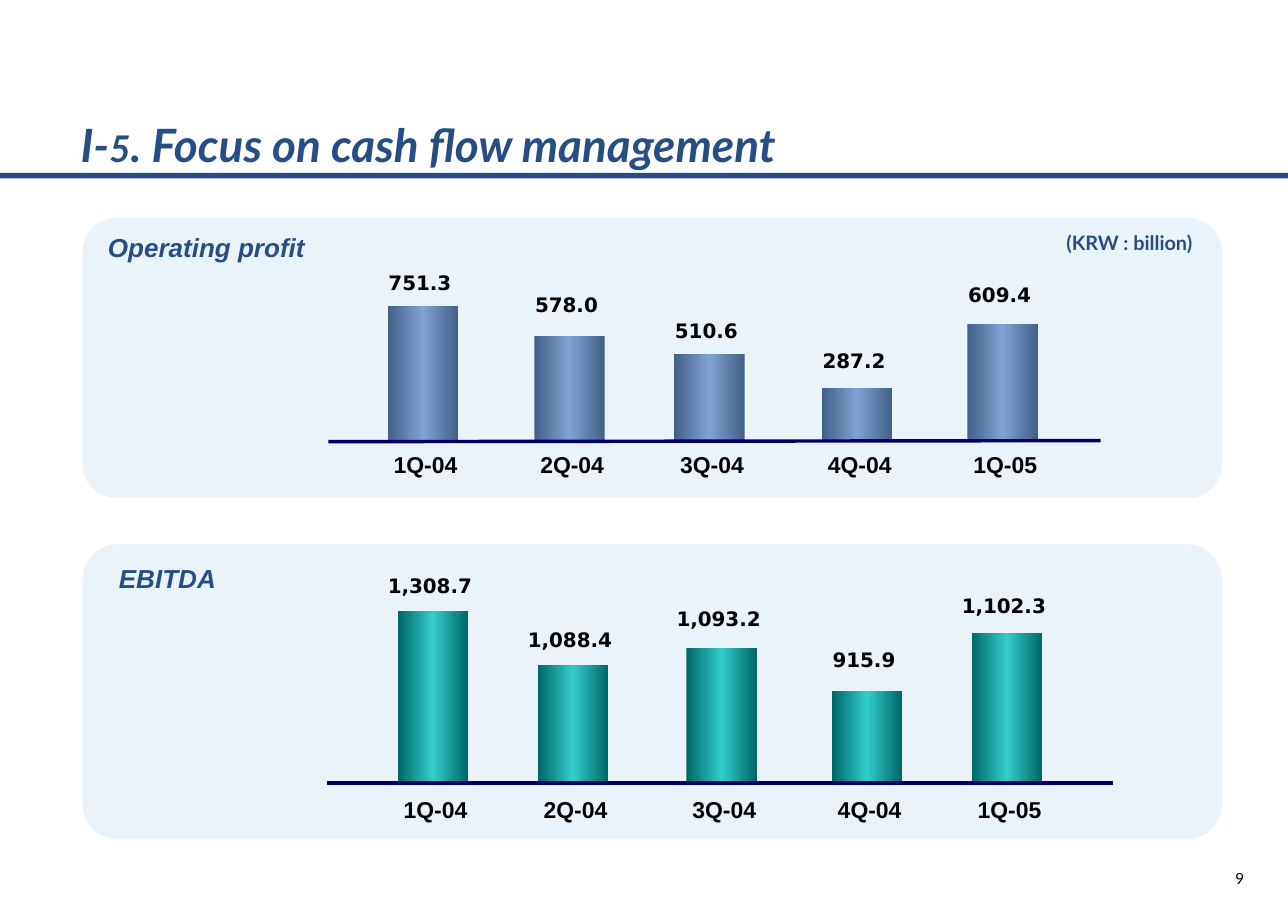
from pptx import Presentation
from pptx.dml.color import RGBColor
from pptx.enum.shapes import MSO_CONNECTOR as Connector, MSO_SHAPE as Shape
from pptx.enum.text import MSO_ANCHOR as Anchor, PP_ALIGN as Align
from pptx.oxml import parse_xml
from pptx.oxml.ns import nsdecls, qn
from pptx.oxml.xmlchemy import OxmlElement
from pptx.util import Pt

# Content
COLORS = {
    "navy": "264E84", "panel": "AECCEE", "axis": "000066", "black": "000000",
    "blue edge": "426087", "blue middle": "7EA3D4",
    "teal edge": "006666", "teal middle": "33CCCC",
}
TITLE = [("I-", 30), ("5", 24), (". Focus on cash flow management", 30)]
UNIT = "(KRW : billion)"
PAGE_NUMBER = "9"

# Each bar: quarter, value, bar left, bar top, value label top
SECTIONS = [
    {
        "heading": "Operating profit", "heading_at": (63.4, 149.8),
        "panel": (54, 142.6, 744.5, 182.9), "hue": "blue",
        "base": 287.4, "quarter_top": 294.5,
        "axis": (214.6, 288.7, 719.3, 288),
        "bars": [
            ("1Q-04", "751.3", 253.4, 200.2, 173.5),
            ("2Q-04", "578.0", 349.2, 219.6, 188),
            ("3Q-04", "510.6", 440.6, 231.1, 204.5),
            ("4Q-04", "287.2", 537.1, 253.4, 224.6),
            ("1Q-05", "609.4", 632.2, 212, 181.4),
        ],
    },
    {
        "heading": "EBITDA", "heading_at": (70.6, 366.5),
        "panel": (54, 355.7, 744.5, 193), "hue": "teal",
        "base": 512, "quarter_top": 519.8,
        "axis": (213.8, 511.9, 727.2, 511.9),
        "bars": [
            ("1Q-04", "1,308.7", 259.9, 399.6, 371.5),
            ("2Q-04", "1,088.4", 351.4, 434.9, 406.8),
            ("3Q-04", "1,093.2", 448.6, 423.4, 393.1),
            ("4Q-04", "915.9", 543.6, 451.4, 419.8),
            ("1Q-05", "1,102.3", 635, 414, 384.5),
        ],
    },
]

SLIDE_WIDTH, SLIDE_HEIGHT = 841.68, 595.44
BAR_WIDTH = 46
VALUE_WIDTH, VALUE_HEIGHT, VALUE_SHIFT = 75, 23.8, -2
QUARTER_HEIGHT, QUARTER_SHIFT = 18, 1.7

deck = Presentation()
deck.slide_width, deck.slide_height = Pt(SLIDE_WIDTH), Pt(SLIDE_HEIGHT)
slide = deck.slides.add_slide(deck.slide_layouts[6])


def color(name):
    return RGBColor.from_string(COLORS[name])


def add_block(box, fill=None, preset=Shape.RECTANGLE):
    block = slide.shapes.add_shape(preset, *map(Pt, box))
    block.shadow.inherit = False
    block.line.fill.background()
    if fill:
        block.fill.solid()
        block.fill.fore_color.rgb = color(fill)
    else:
        block.fill.background()
    return block


def add_panel(box):
    panel = add_block(box, "panel", Shape.ROUNDED_RECTANGLE)
    panel.adjustments[0] = 0.12
    alpha = OxmlElement("a:alpha")
    alpha.set("val", "25000")
    panel.fill._xPr.find(qn("a:solidFill"))[0].append(alpha)


def add_bar(box, hue):
    bar = add_block(box)
    edge, middle = COLORS[f"{hue} edge"], COLORS[f"{hue} middle"]
    stops = "".join(
        f'<a:gs pos="{pos}"><a:srgbClr val="{shade}"/></a:gs>'
        for pos, shade in [(0, edge), (50000, middle), (100000, edge)])
    gradient = parse_xml(
        f'<a:gradFill {nsdecls("a")} rotWithShape="1"><a:gsLst>{stops}</a:gsLst>'
        '<a:lin ang="10800000" scaled="1"/></a:gradFill>')
    properties = bar._element.spPr
    properties.replace(properties.find(qn("a:noFill")), gradient)


def add_axis(ends):
    axis = slide.shapes.add_connector(Connector.STRAIGHT, *map(Pt, ends))
    axis.line.color.rgb = color("axis")
    axis.line.width = Pt(2.25)
    axis._element.spPr.append(OxmlElement("a:effectLst"))


def add_text(box, runs, font, ink, align=Align.LEFT, bold=True, italic=False,
             inset=(0, 0), wrap=True, spacing=None, anchor=Anchor.TOP):
    frame = slide.shapes.add_textbox(*map(Pt, box)).text_frame
    frame.word_wrap, frame.vertical_anchor = wrap, anchor
    frame.margin_left = frame.margin_right = Pt(inset[0])
    frame.margin_top = frame.margin_bottom = Pt(inset[1])
    line = frame.paragraphs[0]
    line.alignment, line.line_spacing = align, spacing
    line.font.name, line.font.color.rgb = font, color(ink)
    line.font.bold, line.font.italic = bold, italic
    sizes = {size for _, size in runs}
    if len(sizes) == 1:
        line.font.size = Pt(runs[0][1])
    for words, size in runs:
        run = line.add_run()
        run.text = words
        if len(sizes) > 1:
            run.font.size = Pt(size)


# Page number and title rule
add_text((782.6, 563.8, 55.4, 22.3), [(PAGE_NUMBER, 10)], "Lato", "black",
         Align.CENTER, bold=False, inset=(3.6, 3.6), wrap=False, spacing=1.05)
add_block((0, 113, SLIDE_WIDTH, 3.6), "navy")

# Panels, title and unit
for section in SECTIONS:
    add_panel(section["panel"])
add_text((52.6, 80.6, 733.7, 31.7), TITLE, "Lato", "navy", italic=True,
         spacing=Pt(31.9), anchor=Anchor.BOTTOM)
add_text((664.6, 146.9, 122.4, 23.8), [(UNIT, 13)], "Lato", "navy",
         Align.RIGHT, inset=(7.9, 3.6))

# Bars with values above and quarters below, then axis and heading
for section in SECTIONS:
    base = section["base"]
    for quarter, value, left, top, value_top in section["bars"]:
        center = left + BAR_WIDTH / 2
        add_bar((left, top, BAR_WIDTH, base - top), section["hue"])
        add_text((center + VALUE_SHIFT - VALUE_WIDTH / 2, value_top,
                  VALUE_WIDTH, VALUE_HEIGHT), [(value, 13)],
                 "DejaVu Sans", "black", Align.CENTER, inset=(7.2, 3.6))
        add_text((left + QUARTER_SHIFT, section["quarter_top"],
                  BAR_WIDTH, QUARTER_HEIGHT), [(quarter, 15)],
                 "Arial", "black", Align.CENTER, wrap=False)
    add_axis(section["axis"])
    add_text((*section["heading_at"], 240, 31), [(section["heading"], 17)],
             "Arial", "navy", italic=True, inset=(7.2, 3.6), spacing=0.9)

deck.save("out.pptx")
